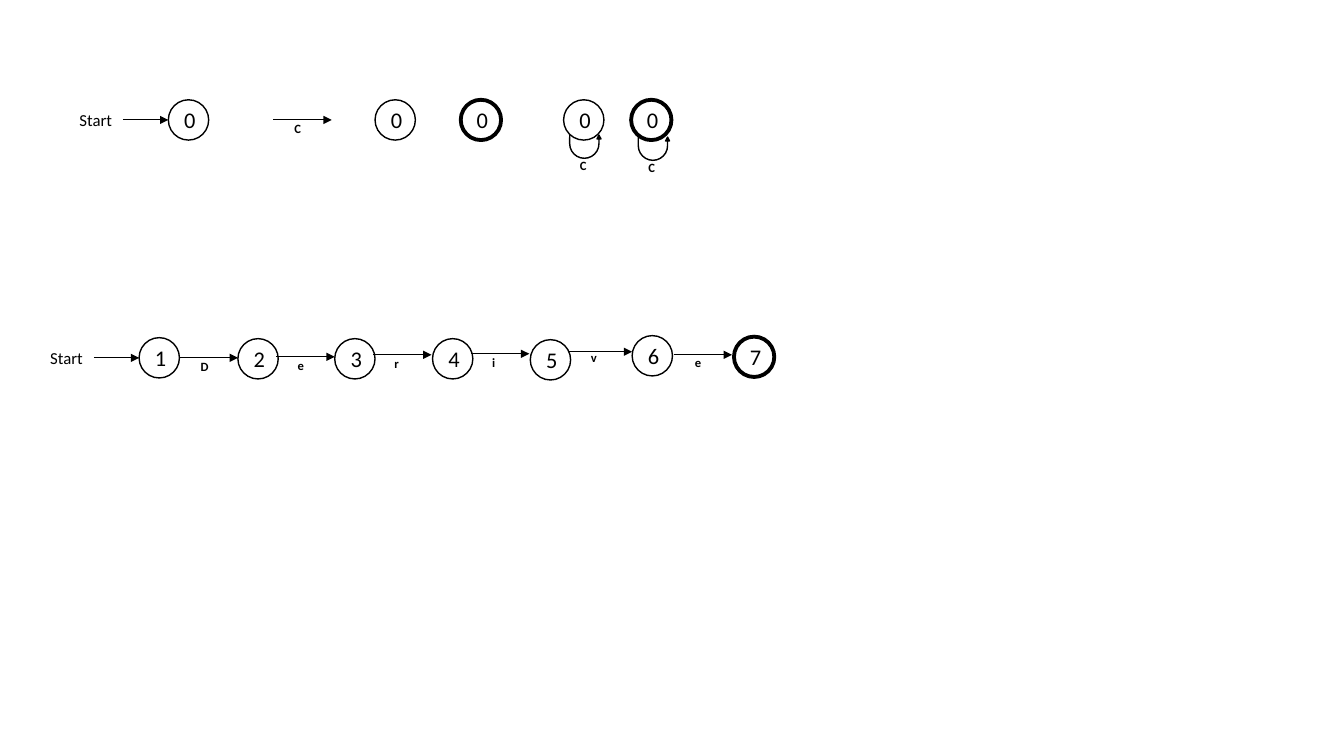
from dataclasses import dataclass
from typing import Optional

from lxml import etree
from pptx import Presentation
from pptx.dml.color import RGBColor
from pptx.enum import shapes, text
from pptx.oxml import ns
from pptx.shapes.shapetree import GroupShapes
from pptx.util import Inches, Pt


@dataclass(frozen=True)
class Theme:
    ink: RGBColor = RGBColor(0, 0, 0)
    font: str = "Calibri"
    state_size: float = 16
    start_size: float = 12
    label_size: float = 9
    arrow_line: float = 0.75
    state_line: float = 1
    accepting_line: float = 2.75
    diameter: float = 0.4


@dataclass(frozen=True)
class Loop:
    """A transition back to the same state, offset from that state."""
    label: str
    dx: float
    dy: float


@dataclass(frozen=True)
class State:
    number: str
    left: float
    top: float
    accepting: bool = False
    start: bool = False
    loop: Optional[Loop] = None


@dataclass(frozen=True)
class Transition:
    label: str
    start: float
    y: float
    length: float = 0.58
    label_rise: float = 0.04
    label_width: float = 0.16


THEME = Theme()

# Legend of diagram parts, top row
LEGEND_TOP = 0.99
LEGEND_STATES = [
    State("0", 1.67, LEGEND_TOP, start=True),
    State("0", 3.72, LEGEND_TOP),
    State("0", 4.57, LEGEND_TOP, accepting=True),
    State("0", 5.59, LEGEND_TOP, loop=Loop("C", 0.06, 0.35)),
    State("0", 6.26, LEGEND_TOP, accepting=True, loop=Loop("C", 0.07, 0.37)),
]
LEGEND_TRANSITION = Transition("C", 2.71, 1.19)

# Automaton that accepts one word, lower row
WORD_STATES = [
    State("1", 1.38, 3.35, start=True),
    State("2", 2.36, 3.36),
    State("3", 3.32, 3.36),
    State("4", 4.29, 3.36),
    State("5", 5.26, 3.37),
    State("6", 6.27, 3.33),
    State("7", 7.28, 3.34, accepting=True),
]
WORD_TRANSITIONS = [
    Transition("D", 1.78, 3.55),
    Transition("e", 2.74, 3.54),
    Transition("r", 3.7, 3.52),
    Transition("i", 4.67, 3.51),
    Transition("v", 5.63, 3.49, length=0.64, label_rise=0.07, label_width=0.18),
    Transition("e", 6.68, 3.52, label_rise=0.05),
]


def write(frame, words: str, size: float, bold: bool = False) -> None:
    run = frame.paragraphs[0].add_run()
    run.text = words
    run.font.name = THEME.font
    run.font.size = Pt(size)
    run.font.bold = bold
    run.font.color.rgb = THEME.ink


def draw_text(group: GroupShapes, words: str, left: float, top: float, width: float,
              height: float, size: float, bold: bool = False) -> None:
    caption = group.add_textbox(Inches(left), Inches(top), Inches(width), Inches(height))
    caption.text_frame.word_wrap = False
    caption.text_frame.auto_size = text.MSO_AUTO_SIZE.SHAPE_TO_FIT_TEXT
    write(caption.text_frame, words, size, bold)


def draw_label(group: GroupShapes, letter: str, left: float, top: float,
               width: float = 0.16) -> None:
    draw_text(group, letter, left, top, width, 0.25, THEME.label_size, bold=True)


def draw_arrow(group: GroupShapes, start: float, end: float, y: float) -> None:
    arrow = group.add_connector(shapes.MSO_CONNECTOR.STRAIGHT,
                                Inches(start), Inches(y), Inches(end), Inches(y))
    arrow.line.color.rgb = THEME.ink
    arrow.line.width = Pt(THEME.arrow_line)
    etree.SubElement(arrow.line._get_or_add_ln(), ns.qn("a:tailEnd"), type="triangle")
    etree.SubElement(arrow._element.spPr, ns.qn("a:effectLst"))


def draw_loop(group: GroupShapes, loop: Loop, state: State) -> None:
    left, top = state.left + loop.dx, state.top + loop.dy
    turn = group.add_shape(shapes.MSO_SHAPE.U_TURN_ARROW, Inches(left), Inches(top),
                           Inches(0.31), Inches(0.23))
    turn.shadow.inherit = False
    for index, value in enumerate((0, 0.085, 0.164, 0.717, 1)):
        turn.adjustments[index] = value
    turn.rotation = 180
    turn._element.spPr.find(ns.qn("a:xfrm")).set("flipH", "1")
    turn.fill.solid()
    turn.fill.fore_color.rgb = THEME.ink
    turn.line.color.rgb = THEME.ink
    turn.line.width = Pt(THEME.state_line)
    draw_label(group, loop.label, left + 0.04, top + 0.18)


def draw_state(slide, state: State) -> None:
    grouped = state.start or state.loop
    parent = slide.shapes.add_group_shape().shapes if grouped else slide.shapes
    if state.start:
        middle = state.top + THEME.diameter / 2
        draw_text(parent, "Start", state.left - 0.98, middle - 0.15, 0.53, 0.3,
                  THEME.start_size)
        draw_arrow(parent, state.left - 0.45, state.left, middle)
    circle = parent.add_shape(shapes.MSO_SHAPE.OVAL, Inches(state.left), Inches(state.top),
                              Inches(THEME.diameter), Inches(THEME.diameter))
    circle.shadow.inherit = False
    circle.fill.background()
    circle.line.color.rgb = THEME.ink
    circle.line.width = Pt(THEME.accepting_line if state.accepting else THEME.state_line)
    circle.text_frame.vertical_anchor = text.MSO_ANCHOR.MIDDLE
    circle.text_frame.paragraphs[0].alignment = text.PP_ALIGN.CENTER
    write(circle.text_frame, state.number, THEME.state_size)
    if state.loop:
        draw_loop(parent, state.loop, state)


def draw_transition(slide, step: Transition) -> None:
    group = slide.shapes.add_group_shape().shapes
    draw_arrow(group, step.start, step.start + step.length, step.y)
    draw_label(group, step.label, step.start + 0.15, step.y - step.label_rise,
               step.label_width)


def main() -> None:
    deck = Presentation()
    deck.slide_width, deck.slide_height = Inches(13.33), Inches(7.5)
    slide = deck.slides.add_slide(deck.slide_layouts[6])
    for state in LEGEND_STATES + WORD_STATES:
        draw_state(slide, state)
    for step in [LEGEND_TRANSITION] + WORD_TRANSITIONS:
        draw_transition(slide, step)
    deck.save("out.pptx")


if __name__ == "__main__":
    main()
